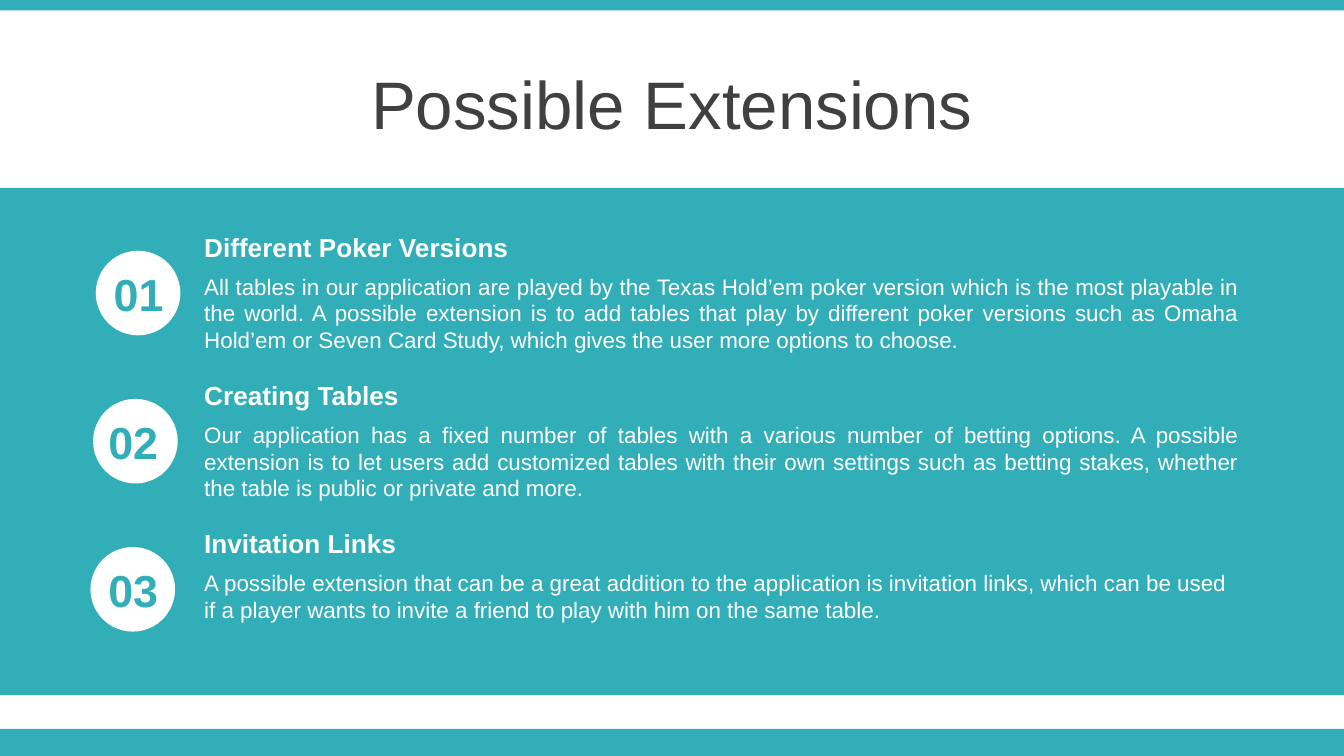
from pptx import Presentation
from pptx.dml.color import RGBColor
from pptx.enum.shapes import MSO_SHAPE
from pptx.enum.text import MSO_ANCHOR, PP_ALIGN
from pptx.util import Cm, Pt

RECT, OVAL = MSO_SHAPE.RECTANGLE, MSO_SHAPE.OVAL
LEFT, CENTER, JUSTIFY = PP_ALIGN.LEFT, PP_ALIGN.CENTER, PP_ALIGN.JUSTIFY
TOP, MIDDLE = MSO_ANCHOR.TOP, MSO_ANCHOR.MIDDLE

# Content
TITLE = "Possible Extensions"
EXTENSIONS = [
    ("Different Poker Versions",
     "All tables in our application are played by the Texas Hold’em poker version "
     "which is the most playable in the world. A possible extension is to add tables "
     "that play by different poker versions such as Omaha Hold’em or Seven Card Study, "
     "which gives the user more options to choose.", JUSTIFY),
    ("Creating Tables",
     "Our application has a fixed number of tables with a various number of betting "
     "options. A possible extension is to let users add customized tables with their "
     "own settings such as betting stakes, whether the table is public or private "
     "and more.", JUSTIFY),
    ("Invitation Links",
     "A possible extension that can be a great addition to the application is "
     "invitation links, which can be used if a player wants to invite a friend to "
     "play with him on the same table.", LEFT),
]

# Style and layout, in cm
FONT = "Arial"
COLORS = {"teal": "32AEB8", "white": "FFFFFF", "title": "404040"}
WIDTH, HEIGHT = 25.4, 14.29
BANDS = [(0, 0.2), (3.55, 9.59), (13.78, 0.51)]  # top, height
ROW_TOP, ROW_STEP = 4.24, 2.8
CIRCLE = 1.6
CIRCLE_LEFTS = [1.81, 1.76, 1.71]
NUMBER_LEFTS = [1.73, 1.63, 1.63]
TEXT_LEFT, TEXT_WIDTH = 3.61, 20.07

prs = Presentation()
prs.slide_width, prs.slide_height = Cm(WIDTH), Cm(HEIGHT)
s = prs.slides.add_slide(prs.slide_layouts[6])


def rgb(name):
    return RGBColor.from_string(COLORS[name])


def add_shape(kind, x, y, w, h, color):
    sp = s.shapes.add_shape(kind, Cm(x), Cm(y), Cm(w), Cm(h))
    sp.shadow.inherit = False
    sp.fill.solid()
    sp.fill.fore_color.rgb = rgb(color)
    sp.line.fill.background()


def add_text(text, x, y, w, h, size, color, align=LEFT, bold=False, anchor=TOP):
    tf = s.shapes.add_textbox(Cm(x), Cm(y), Cm(w), Cm(h)).text_frame
    tf.word_wrap = True
    tf.vertical_anchor = anchor
    p = tf.paragraphs[0]
    p.alignment = align
    r = p.add_run()
    r.text = text
    r.font.name, r.font.size, r.font.bold = FONT, Pt(size), bold
    r.font.color.rgb = rgb(color)
    return p


# Bands and title
for top, height in BANDS:
    add_shape(RECT, 0, top, WIDTH, height, "teal")
p = add_text(TITLE, 0, 1.14, WIDTH, 1.6, 36, "title", CENTER, anchor=MIDDLE)
p.space_before = Pt(7.2)

# Numbered extensions
for i, (heading, body, align) in enumerate(EXTENSIONS):
    y = ROW_TOP + i * ROW_STEP
    add_shape(OVAL, CIRCLE_LEFTS[i], y + 0.5, CIRCLE, CIRCLE, "white")
    add_text(f"{i + 1:02}", NUMBER_LEFTS[i], y + 0.68, 1.78, 1.27, 24, "teal", CENTER, True)
    add_text(heading, TEXT_LEFT, y, TEXT_WIDTH, 0.86, 14, "white", bold=True)
    add_text(body, TEXT_LEFT, y + 0.79, TEXT_WIDTH, 1.8, 12, "white", align)

prs.save("out.pptx")
